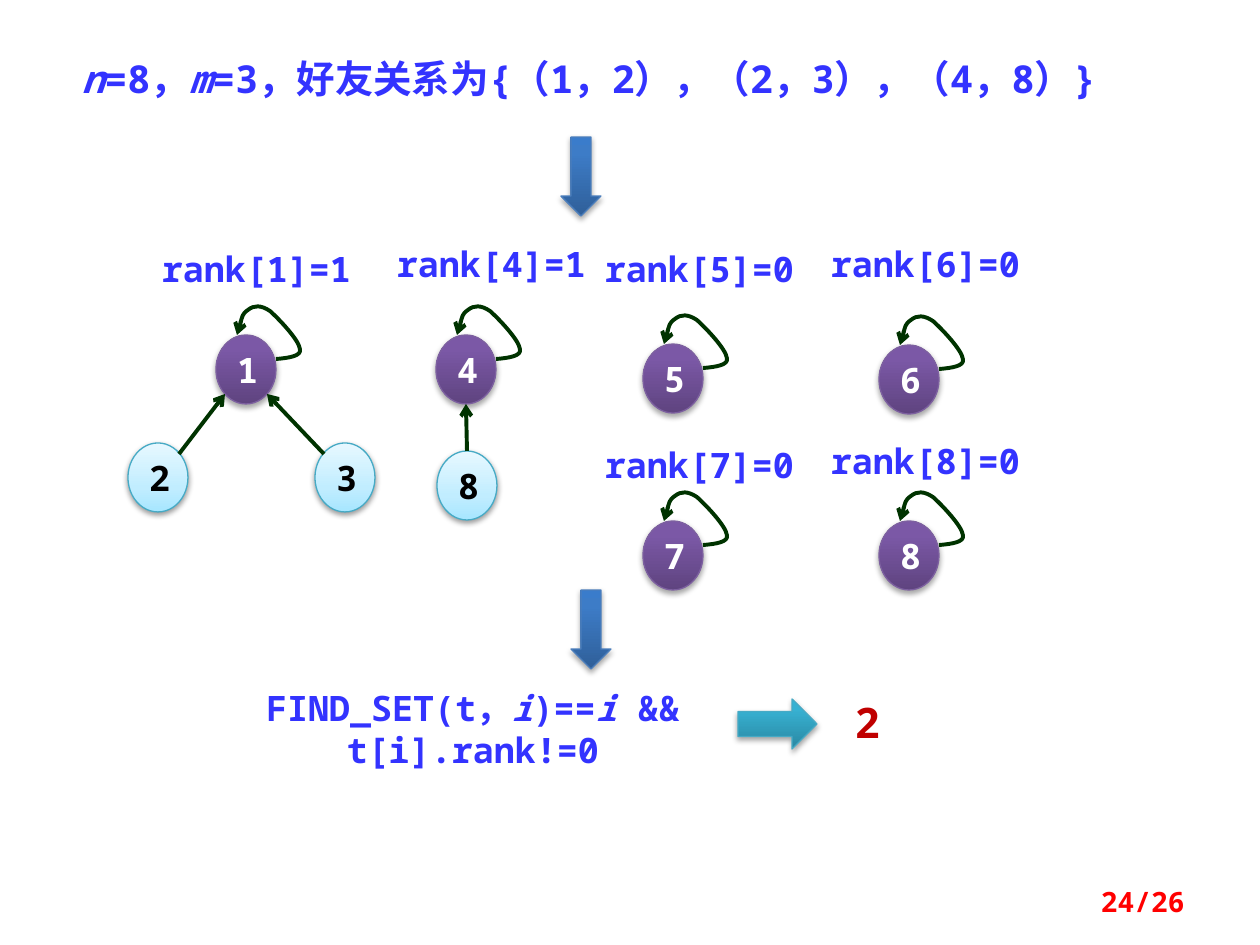
import copy

import pptx
import pptx.dml.color
import pptx.enum.shapes
import pptx.enum.text
import pptx.oxml.ns
import pptx.util
from lxml import etree

RGB = pptx.dml.color.RGBColor
SHAPE = pptx.enum.shapes.MSO_SHAPE
ALIGN = pptx.enum.text.PP_ALIGN
ANCHOR = pptx.enum.text.MSO_ANCHOR
qn = pptx.oxml.ns.qn

BLUE = RGB(0x33, 0x33, 0xFF)
GREEN = RGB(0x00, 0x33, 0x00)
RED = RGB(0xFF, 0x00, 0x00)
DARK_RED = RGB(0xC0, 0x00, 0x00)
WHITE = RGB(0xFF, 0xFF, 0xFF)
BLACK = RGB(0x00, 0x00, 0x00)
PURPLE_EDGE = RGB(0x7D, 0x60, 0xA0)
CYAN_EDGE = RGB(0x46, 0xAA, 0xC5)
BLUE_EDGE = RGB(0x4B, 0x7E, 0xBC)

# Gradients: (position, colour), from bottom to top
PURPLE = [(0, RGB(0x5F, 0x44, 0x80)), (0.8, RGB(0x7B, 0x58, 0xA6)), (1, RGB(0x7C, 0x57, 0xA8))]
PALE = [(0, RGB(0xA7, 0xE6, 0xFF)), (0.35, RGB(0xC1, 0xED, 0xFF)), (1, RGB(0xE7, 0xF8, 0xFF))]
ARROW_BLUE = [(0, RGB(0x2F, 0x5F, 0x99)), (0.8, RGB(0x3D, 0x7C, 0xC7)), (1, RGB(0x3A, 0x7C, 0xCB))]
ARROW_CYAN = [(0, RGB(0x2A, 0x88, 0xA2)), (0.8, RGB(0x37, 0xB1, 0xD2)), (1, RGB(0x34, 0xB4, 0xD6))]

# Self-loop of a root, relative to its node: start, then four cubic curves
LOOP = [(60, 24),
        (73, 23), (86, 21), (84, 14),
        (83, 5), (63, -16), (54, -24),
        (45, -30), (38, -30), (32, -25),
        (26, -21), (24, -10), (21, 0)]


class Deck:
    font = "Noto Sans Mono"
    scale = 914400 / 126
    node_w, node_h = 60, 69

    def __init__(self, width, height):
        self.prs = pptx.Presentation()
        self.prs.slide_width, self.prs.slide_height = self.emu(width, height)
        self.s = self.prs.slides.add_slide(self.prs.slide_layouts[6])

    def emu(self, *lengths):
        return [pptx.util.Emu(round(n * self.scale)) for n in lengths]

    def add_runs(self, tf, text, size, color, align):
        """Fill the first paragraph; parts between asterisks are italic."""
        p = tf.paragraphs[0]
        p.alignment = align
        for i, part in enumerate(text.split("*")):
            if part:
                r = p.add_run()
                r.text = part
                r.font.name, r.font.size = self.font, pptx.util.Pt(size)
                r.font.bold, r.font.italic = True, i % 2 == 1
                r.font.color.rgb = color

    def text(self, x, y, w, h, text, size=20, color=BLUE, align=ALIGN.CENTER,
             anchor=ANCHOR.TOP, side=None):
        tf = self.s.shapes.add_textbox(*self.emu(x, y, w, h)).text_frame
        tf.word_wrap = True
        tf.vertical_anchor = anchor
        if side is not None:
            tf.margin_left = tf.margin_right = side
        self.add_runs(tf, text, size, color, align)

    def shape(self, kind, x, y, w, h, gradient, edge, alpha=35, distance=23000):
        sp = self.s.shapes.add_shape(kind, *self.emu(x, y, w, h))
        sp.fill.gradient()
        sp.fill.gradient_angle = 90
        stops = sp._element.spPr.find(".//" + qn("a:gsLst"))
        stops.append(copy.deepcopy(stops[0]))
        for stop, (position, color) in zip(sp.fill.gradient_stops, gradient):
            stop.position, stop.color.rgb = position, color
        sp.line.color.rgb = edge
        sp.line.width = pptx.util.Pt(0.75)
        # Soft shadow below
        sp.shadow.inherit = False
        effects = sp._element.spPr.find(qn("a:effectLst"))
        shadow = etree.SubElement(effects, qn("a:outerShdw"), blurRad="40000",
                                  dist=str(distance), dir="5400000", rotWithShape="0")
        black = etree.SubElement(shadow, qn("a:srgbClr"), val="000000")
        etree.SubElement(black, qn("a:alpha"), val=str(alpha * 1000))
        return sp

    def node(self, x, y, text, root=False):
        style = (PURPLE, PURPLE_EDGE) if root else (PALE, CYAN_EDGE, 38, 20000)
        sp = self.shape(SHAPE.OVAL, x, y, self.node_w, self.node_h, *style)
        sp.text_frame.vertical_anchor = ANCHOR.MIDDLE
        self.add_runs(sp.text_frame, text, 20, WHITE if root else BLACK, ALIGN.CENTER)
        if root:
            self.loop(x, y)

    def arrow_line(self, sp):
        sp.line.color.rgb = GREEN
        sp.line.width = pptx.util.Pt(2.25)
        ln = sp._element.spPr.find(qn("a:ln"))
        etree.SubElement(ln, qn("a:tailEnd"), type="arrow")

    def loop(self, x, y):
        start, *points = [(x + dx, y + dy) for dx, dy in LOOP]
        builder = self.s.shapes.build_freeform(*start, scale=self.scale)
        builder.add_line_segments(points, close=False)
        sp = builder.convert_to_shape()
        # Turn each three line segments into one cubic curve
        outline = sp._element.spPr.find(".//" + qn("a:path"))
        lines = outline.findall(qn("a:lnTo"))
        for i in range(0, len(lines), 3):
            curve = etree.SubElement(outline, qn("a:cubicBezTo"))
            for line in lines[i:i + 3]:
                curve.append(line[0])
                outline.remove(line)
        sp.fill.background()
        sp.shadow.inherit = False
        self.arrow_line(sp)

    def edge(self, x1, y1, x2, y2):
        line = self.s.shapes.add_connector(
            pptx.enum.shapes.MSO_CONNECTOR.STRAIGHT, *self.emu(x1, y1, x2, y2))
        self.arrow_line(line)
        etree.SubElement(line._element.spPr, qn("a:effectLst"))


def main():
    deck = Deck(1260, 945)

    # Problem statement
    deck.text(69, 49, 1063, 59, "*n*=8，*m*=3，好友关系为{（1，2），（2，3），（4，8）}",
              size=22, align=ALIGN.LEFT)

    # Trees: roots with self-loops, children, edges
    for x, y, name in [(216, 335, "1"), (436, 335, "4"), (643, 344, "5"),
                       (879, 345, "6"), (643, 521, "7"), (879, 521, "8")]:
        deck.node(x, y, name, root=True)
    for x, y, name in [(128, 443, "2"), (315, 443, "3"), (437, 451, "8")]:
        deck.node(x, y, name)
    for ends in [(179, 454, 225, 394), (324, 454, 267, 394), (467, 451, 466, 404)]:
        deck.edge(*ends)

    # Rank labels
    for x, y, label in [(158, 241, "rank[1]=1"), (393, 236, "rank[4]=1"),
                        (601, 241, "rank[5]=0"), (827, 236, "rank[6]=0"),
                        (601, 437, "rank[7]=0"), (827, 433, "rank[8]=0")]:
        deck.text(x, y, 197, 55, label, side=0)

    # Step arrows
    for x, y in [(561, 137), (571, 590)]:
        deck.shape(SHAPE.DOWN_ARROW, x, y, 40, 79, ARROW_BLUE, BLUE_EDGE)

    # Condition and result
    deck.text(227, 680, 492, 97, "FIND_SET(t，*i*)==*i* && t[i].rank!=0")
    deck.shape(SHAPE.RIGHT_ARROW, 738, 699, 79, 50, ARROW_CYAN, CYAN_EDGE)
    deck.text(833, 690, 69, 64, "2", size=24, color=DARK_RED)

    # Page number
    deck.text(903, 876, 294, 50, "24/26", size=16, color=RED,
              align=ALIGN.RIGHT, anchor=ANCHOR.MIDDLE)

    deck.prs.save("out.pptx")


if __name__ == "__main__":
    main()
